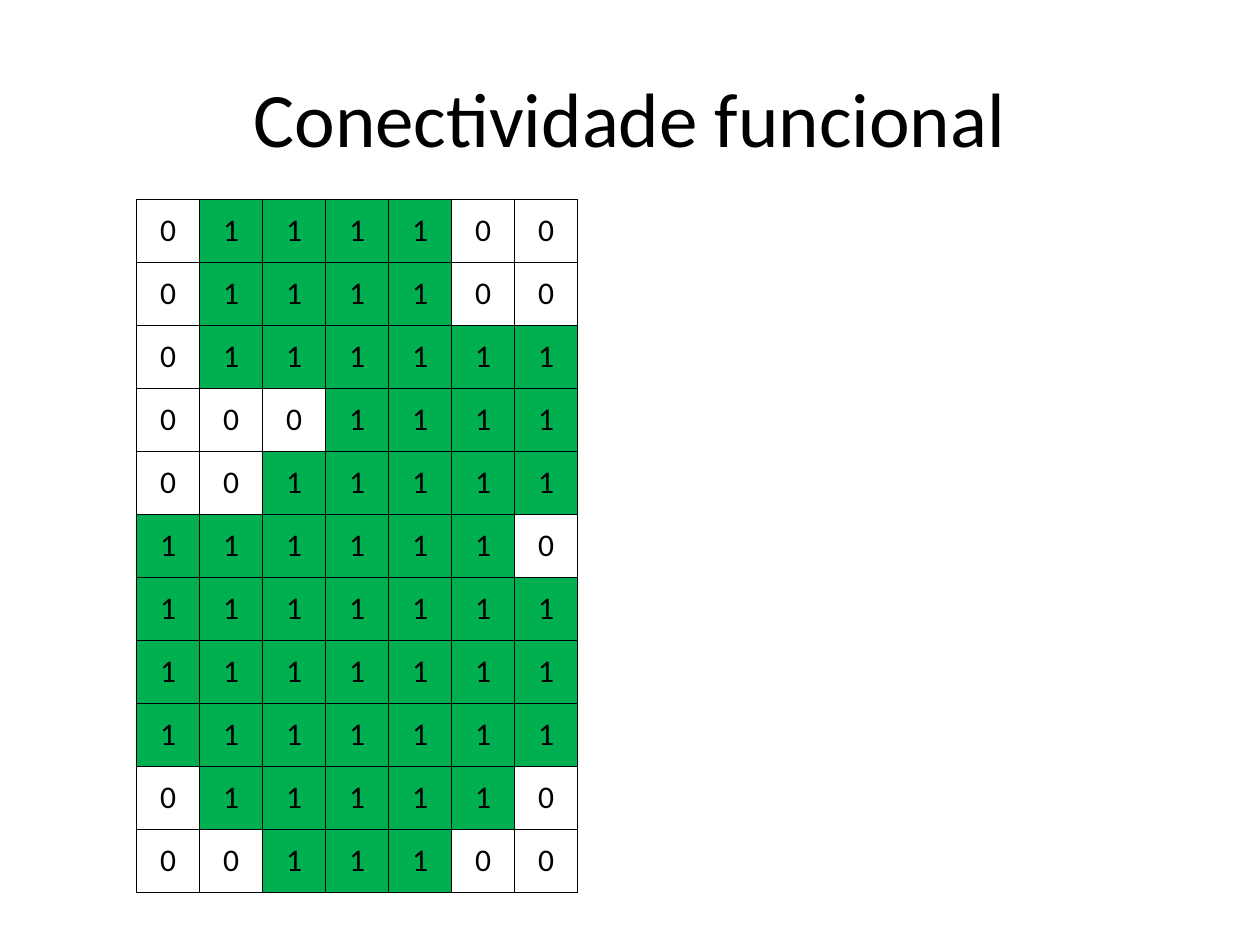
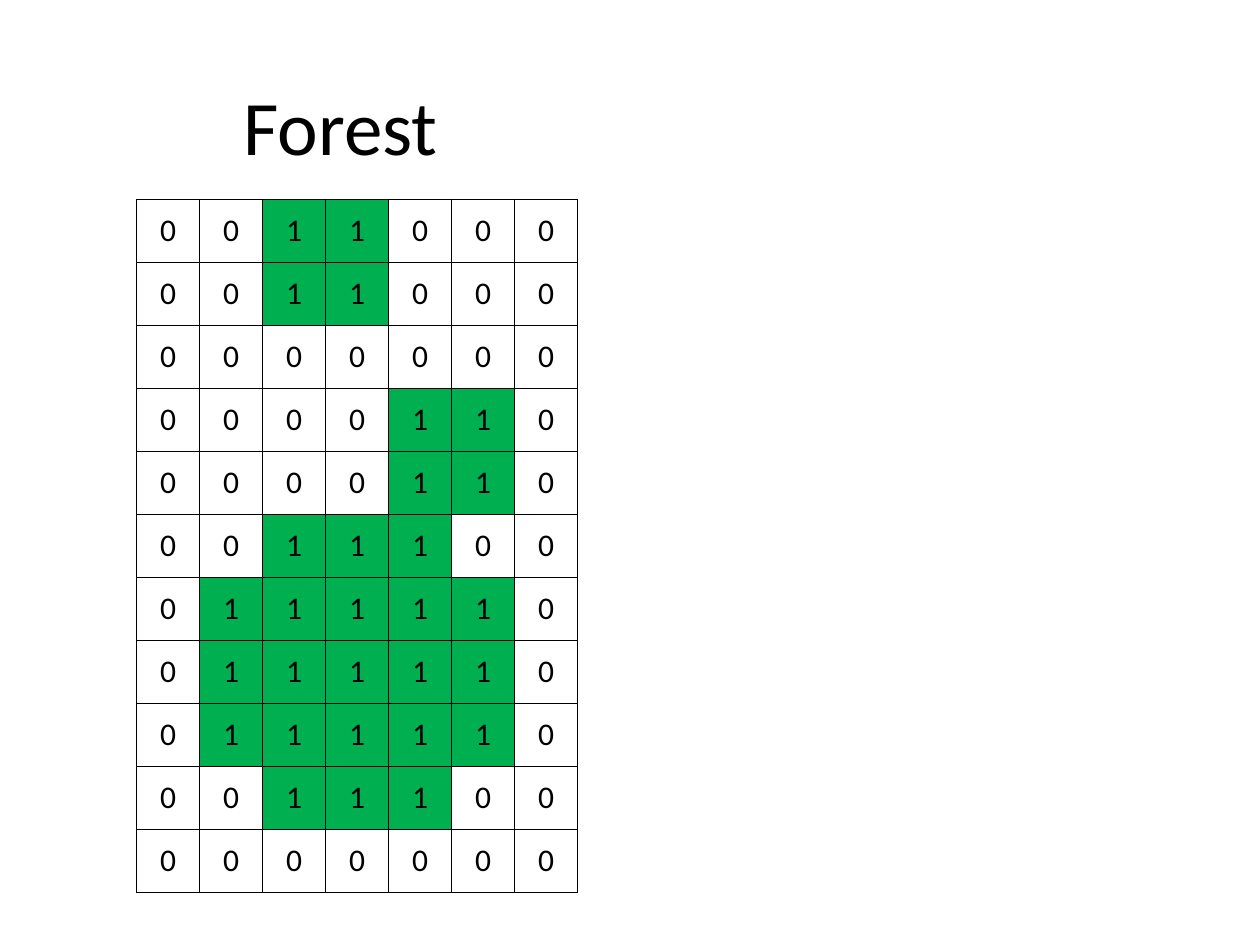
from dataclasses import dataclass

from lxml.etree import SubElement
from pptx import Presentation
from pptx.dml.color import RGBColor
from pptx.enum.text import MSO_ANCHOR as Anchor, PP_ALIGN as Align
from pptx.oxml.ns import qn
from pptx.slide import Slide
from pptx.util import Pt


@dataclass(frozen=True)
class Theme:
    """Colours, font and type sizes shared by the slides."""
    font: str = "Calibri"
    ink: str = "000000"
    habitat: str = "00B050"
    title_size: float = 44
    value_size: float = 18
    border_width: float = 1


@dataclass(frozen=True)
class Title:
    """A slide title and where its box starts, in points."""
    text: str
    left: float
    top: float
    align: Align


@dataclass(frozen=True)
class Landscape:
    """A title above a raster map: 1 is habitat, 0 is not."""
    title: Title
    raster: tuple[str, ...]


THEME = Theme()
SLIDE_WIDTH, SLIDE_HEIGHT = 720, 540
TITLE_WIDTH, TITLE_HEIGHT = 648, 90
MAP_LEFT, MAP_TOP, PIXEL = 78, 114, 36

LANDSCAPES = (
    Landscape(
        Title("Conectividade funcional", 36, 21.6, Align.CENTER),
        ("0111100", "0111100", "0111111", "0001111", "0011111", "1111110",
         "1111111", "1111111", "1111111", "0111110", "0011100"),
    ),
    Landscape(
        Title("Forest", 132, 26, Align.LEFT),
        ("0011000", "0011000", "0000000", "0000110", "0000110", "0011100",
         "0111110", "0111110", "0111110", "0011100", "0000000"),
    ),
)


def style_paragraph(paragraph, size: float, align: Align) -> None:
    """Set the shared font and colour with a given size and alignment."""
    paragraph.alignment = align
    paragraph.font.name = THEME.font
    paragraph.font.size = Pt(size)
    paragraph.font.color.rgb = RGBColor.from_string(THEME.ink)


def add_title(slide: Slide, title: Title) -> None:
    """Write the slide title, vertically centred in its box."""
    heading = slide.shapes.add_textbox(
        Pt(title.left), Pt(title.top), Pt(TITLE_WIDTH), Pt(TITLE_HEIGHT)
    ).text_frame
    heading.word_wrap = True
    heading.vertical_anchor = Anchor.MIDDLE
    heading.text = title.text
    style_paragraph(heading.paragraphs[0], THEME.title_size, title.align)


def add_borders(cell) -> None:
    """Draw a thin line on all four sides of a cell."""
    properties = cell._tc.get_or_add_tcPr()
    for side in ("a:lnL", "a:lnR", "a:lnT", "a:lnB"):
        line = SubElement(properties, qn(side), w=str(Pt(THEME.border_width)))
        fill = SubElement(line, qn("a:solidFill"))
        SubElement(fill, qn("a:srgbClr"), val=THEME.ink)


def fill_pixel(cell, value: str) -> None:
    """Show one raster value, coloured where it is habitat."""
    cell.text = value
    cell.vertical_anchor = Anchor.MIDDLE
    style_paragraph(cell.text_frame.paragraphs[0], THEME.value_size, Align.CENTER)
    add_borders(cell)
    if value == "1":
        cell.fill.solid()
        cell.fill.fore_color.rgb = RGBColor.from_string(THEME.habitat)
    else:
        cell.fill.background()


def add_raster(slide: Slide, raster: tuple[str, ...]) -> None:
    """Draw the raster as a table of square cells."""
    rows, columns = len(raster), len(raster[0])
    grid = slide.shapes.add_table(
        rows, columns, Pt(MAP_LEFT), Pt(MAP_TOP),
        Pt(columns * PIXEL), Pt(rows * PIXEL),
    ).table
    grid.first_row = grid.horz_banding = False
    for row, values in enumerate(raster):
        for column, value in enumerate(values):
            fill_pixel(grid.cell(row, column), value)


def build() -> None:
    """Build one slide per landscape and save the presentation."""
    deck = Presentation()
    deck.slide_width, deck.slide_height = Pt(SLIDE_WIDTH), Pt(SLIDE_HEIGHT)
    blank = deck.slide_layouts[6]
    for landscape in LANDSCAPES:
        slide = deck.slides.add_slide(blank)
        add_title(slide, landscape.title)
        add_raster(slide, landscape.raster)
    deck.save("out.pptx")


build()
